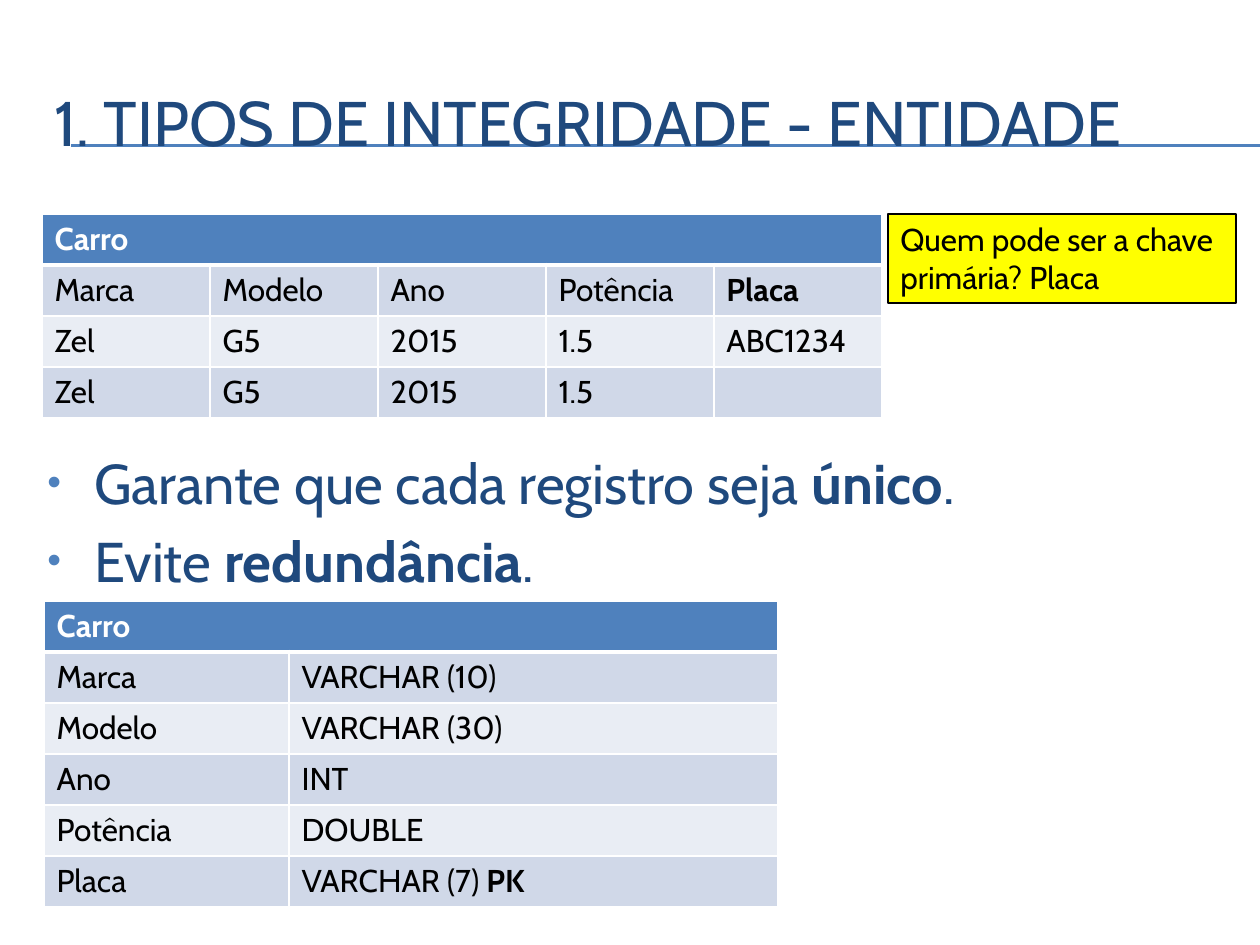
from lxml.etree import SubElement
from pptx import Presentation
from pptx.dml.color import RGBColor
from pptx.enum.shapes import MSO_CONNECTOR, MSO_SHAPE
from pptx.enum.text import MSO_ANCHOR, PP_ALIGN
from pptx.oxml import parse_xml
from pptx.oxml.ns import nsdecls, qn
from pptx.util import Emu, Pt

SCALE = 914400 / 126
FONT = "Cabin"
ROW_HEIGHT = 51
COLORS = {
    "navy": "1F497D",
    "blue": "4F81BD",
    "band_dark": "D0D8E8",
    "band_light": "E9EDF4",
    "yellow": "FFFF00",
    "black": "000000",
    "white": "FFFFFF",
}


def px(length):
    return Emu(round(length * SCALE))


def rgb(name):
    return RGBColor.from_string(COLORS[name])


def write(paragraph, text, size, color):
    paragraph.font.name = FONT
    paragraph.font.size = Pt(size)
    paragraph.font.color.rgb = rgb(color)
    for index, part in enumerate(text.split("*")):
        if part:
            run = paragraph.add_run()
            run.text = part
            if index % 2:
                run.font.bold = True


def add_rule(slide, y):
    rule = slide.shapes.add_connector(
        MSO_CONNECTOR.STRAIGHT, px(71), px(y), px(1260), px(y))
    rule.line.color.rgb = rgb("blue")
    rule.line.width = Pt(0.75)
    SubElement(rule._element.spPr, qn("a:effectLst"))


def add_text_frame(slide, left, top, width, height):
    frame = slide.shapes.add_textbox(
        px(left), px(top), px(width), px(height)).text_frame
    frame.word_wrap = True
    return frame


def add_title(slide, text):
    frame = add_text_frame(slide, 42, 63, 1197, 116)
    frame.vertical_anchor = MSO_ANCHOR.MIDDLE
    write(frame.paragraphs[0], text, 36, "navy")


def add_bullets(slide, items):
    frame = add_text_frame(slide, 35, 442, 1197, 624)
    for index, item in enumerate(items):
        paragraph = frame.add_paragraph() if index else frame.paragraphs[0]
        paragraph.alignment = PP_ALIGN.JUSTIFY
        paragraph.space_before = Pt(6.4)
        write(paragraph, item, 32, "navy")
        properties = paragraph._p.get_or_add_pPr()
        properties.set("marL", str(px(47)))
        properties.set("indent", str(-px(47)))
        bullet = (
            f'<a:buClr {nsdecls("a")}><a:srgbClr val="{COLORS["blue"]}"/></a:buClr>',
            f'<a:buSzPct {nsdecls("a")} val="70000"/>',
            f'<a:buFont {nsdecls("a")} typeface="Arial"/>',
            f'<a:buChar {nsdecls("a")} char="•"/>',
        )
        defaults = properties.find(qn("a:defRPr"))
        for xml in bullet:
            defaults.addprevious(parse_xml(xml))


def add_note(slide, text):
    note = slide.shapes.add_shape(
        MSO_SHAPE.RECTANGLE, px(888), px(214), px(348), px(89))
    note.shadow.inherit = False
    note.fill.solid()
    note.fill.fore_color.rgb = rgb("yellow")
    note.line.color.rgb = rgb("black")
    note.line.width = Pt(0.75)
    frame = note.text_frame
    frame.word_wrap = True
    frame.vertical_anchor = MSO_ANCHOR.TOP
    frame.paragraphs[0].alignment = PP_ALIGN.LEFT
    write(frame.paragraphs[0], text, 18, "black")


def set_borders(cell, top, bottom):
    properties = cell._tc.get_or_add_tcPr()
    sides = {"lnL": 1, "lnR": 1, "lnT": top, "lnB": bottom}
    for index, (side, width) in enumerate(sides.items()):
        properties.insert(index, parse_xml(
            f'<a:{side} {nsdecls("a")} w="{Pt(width)}"><a:solidFill>'
            f'<a:srgbClr val="{COLORS["white"]}"/></a:solidFill></a:{side}>'))


def add_banded_table(slide, left, top, widths, heading, rows):
    table = slide.shapes.add_table(
        len(rows) + 1, len(widths), px(left), px(top),
        px(sum(widths)), px(ROW_HEIGHT * (len(rows) + 1))).table
    for column, width in zip(table.columns, widths):
        column.width = px(width)
    table.cell(0, 0).merge(table.cell(0, len(widths) - 1))
    blanks = [""] * (len(widths) - 1)
    for r, values in enumerate([[f"*{heading}*"] + blanks] + rows):
        table.rows[r].height = px(ROW_HEIGHT)
        band = "band_dark" if r % 2 else "band_light"
        for c, value in enumerate(values):
            cell = table.cell(r, c)
            cell.fill.solid()
            cell.fill.fore_color.rgb = rgb(band if r else "blue")
            set_borders(cell, 3 if r == 1 else 1, 1 if r else 3)
            write(cell.text_frame.paragraphs[0], value, 18,
                  "black" if r else "white")


def main():
    presentation = Presentation()
    presentation.slide_width = px(1260)
    presentation.slide_height = px(945)
    slide = presentation.slides.add_slide(presentation.slide_layouts[6])

    for y in (145, 146):
        add_rule(slide, y)
    add_title(slide, "1. TIPOS DE INTEGRIDADE - ENTIDADE")
    add_banded_table(slide, 42, 214, [168] * 5, "Carro", [
        ["Marca", "Modelo", "Ano", "Potência", "*Placa*"],
        ["Zel", "G5", "2015", "1.5", "ABC1234"],
        ["Zel", "G5", "2015", "1.5", ""],
    ])
    add_note(slide, "Quem pode ser a chave primária? Placa")
    add_bullets(slide, [
        "Garante que cada registro seja *único*.",
        "Evite *redundância*.",
    ])
    add_banded_table(slide, 44, 601, [245, 489], "Carro", [
        ["Marca", "VARCHAR (10)"],
        ["Modelo", "VARCHAR (30)"],
        ["Ano", "INT"],
        ["Potência", "DOUBLE"],
        ["Placa", "VARCHAR (7) *PK*"],
    ])
    presentation.save("out.pptx")


if __name__ == "__main__":
    main()
